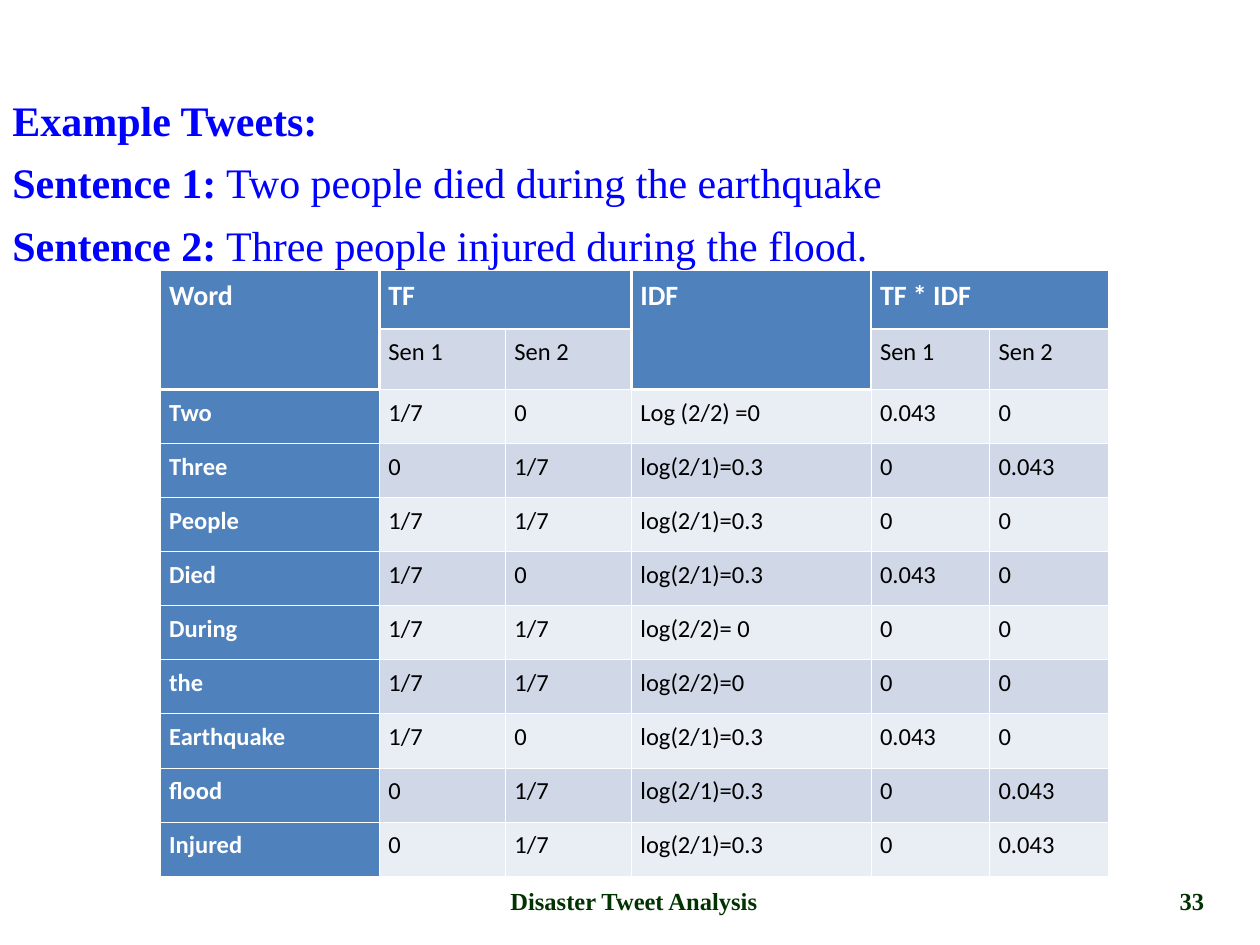
"""Build a slide that works out TF-IDF values for two example tweets."""
import pptx
import pptx.dml.color
import pptx.enum.text
import pptx.oxml
import pptx.oxml.ns
import pptx.util

Cm = pptx.util.Cm
Pt = pptx.util.Pt
RGBColor = pptx.dml.color.RGBColor
PP_ALIGN = pptx.enum.text.PP_ALIGN
MSO_ANCHOR = pptx.enum.text.MSO_ANCHOR

BLUE = RGBColor(0x00, 0x00, 0xFF)
GREEN = RGBColor(0x00, 0x33, 0x00)
HEADER = RGBColor(0x4F, 0x81, 0xBD)
BANDS = RGBColor(0xE9, 0xED, 0xF4), RGBColor(0xD0, 0xD8, 0xE8)
WHITE = RGBColor(0xFF, 0xFF, 0xFF)
BLACK = RGBColor(0x00, 0x00, 0x00)

SENTENCES = [
    ("Example Tweets:", ""),
    ("Sentence 1:", " Two people died during the earthquake"),
    ("Sentence 2:", " Three people injured during the flood."),
]
ROWS = [
    ("Word", "TF", "", "IDF", "TF * IDF", ""),
    ("", "Sen 1", "Sen 2", "", "Sen 1", "Sen 2"),
    ("Two", "1/7", "0", "Log (2/2) =0", "0.043", "0"),
    ("Three", "0", "1/7", "log(2/1)=0.3", "0", "0.043"),
    ("People", "1/7", "1/7", "log(2/1)=0.3", "0", "0"),
    ("Died", "1/7", "0", "log(2/1)=0.3", "0.043", "0"),
    ("During", "1/7", "1/7", "log(2/2)= 0", "0", "0"),
    ("the", "1/7", "1/7", "log(2/2)=0", "0", "0"),
    ("Earthquake", "1/7", "0", "log(2/1)=0.3", "0.043", "0"),
    ("flood", "0", "1/7", "log(2/1)=0.3", "0", "0.043"),
    ("Injured", "0", "1/7", "log(2/1)=0.3", "0", "0.043"),
]
MERGES = [(0, 0, 1, 0), (0, 1, 0, 2), (0, 3, 1, 3), (0, 4, 0, 5)]
COL_WIDTHS = [4.42, 2.54, 2.54, 4.83, 2.39, 2.39]
ROW_HEIGHTS = [1.19, 1.22] + [1.09] * 9


def add_text(p, text, *, font, size, color, bold=False):
    r = p.add_run()
    r.text = text
    r.font.name = font
    r.font.size = Pt(size)
    r.font.color.rgb = color
    r.font.bold = bold


class SlideBuilder:
    text_font = "Times New Roman"
    table_font = "Calibri"

    def __init__(self, slide):
        self.slide = slide

    def text_box(self, left, top, width, height):
        sp = self.slide.shapes.add_textbox(Cm(left), Cm(top), Cm(width), Cm(height))
        tf = sp.text_frame
        tf.word_wrap = True
        return tf

    def sentences(self, lines, left, top, width, height):
        tf = self.text_box(left, top, width, height)
        tf.margin_top = Cm(0.2)
        for i, (label, sentence) in enumerate(lines):
            p = tf.add_paragraph() if i else tf.paragraphs[0]
            if i:
                p.space_before = Pt(7)
            for text, bold in ((label, True), (sentence, False)):
                if text:
                    add_text(p, text, font=self.text_font, size=24, color=BLUE, bold=bold)

    def footer(self, text, left, width):
        tf = self.text_box(left, 17.65, width, 1.02)
        tf.vertical_anchor = MSO_ANCHOR.MIDDLE
        p = tf.paragraphs[0]
        p.alignment = PP_ALIGN.CENTER
        add_text(p, text, font=self.text_font, size=14, color=GREEN, bold=True)

    def borders(self, cell, row, col):
        def heavy_column(edge):
            return row < 2 and edge in (1, 3, 4)

        def heavy_row(edge):
            return edge == 1 or edge == 2 and col in (0, 3)

        sides = {"L": heavy_column(col), "R": heavy_column(col + 1),
                 "T": heavy_row(row), "B": heavy_row(row + 1)}
        tc_pr = cell._tc.get_or_add_tcPr()
        for side, heavy in sides.items():
            tc_pr.append(pptx.oxml.parse_xml(
                f'<a:ln{side} {pptx.oxml.ns.nsdecls("a")} w="{Pt(1.47 if heavy else 0.45)}">'
                f'<a:solidFill><a:srgbClr val="{WHITE}"/></a:solidFill></a:ln{side}>'))

    def cell(self, cell, text, row, col):
        header = row == 0 or col == 0 or (row == 1 and col == 3)
        self.borders(cell, row, col)
        cell.fill.solid()
        cell.fill.fore_color.rgb = HEADER if header else BANDS[row % 2]
        cell.margin_left = cell.margin_right = Cm(0.18)
        cell.margin_top = cell.margin_bottom = Cm(0.13)
        if text:
            p = cell.text_frame.paragraphs[0]
            p.line_spacing = 1.07
            add_text(p, text, font=self.table_font, size=16 if row == 0 else 14,
                     color=WHITE if header else BLACK, bold=header)

    def table(self, rows, left, top):
        table = self.slide.shapes.add_table(
            len(rows), len(rows[0]), Cm(left), Cm(top),
            Cm(sum(COL_WIDTHS)), Cm(sum(ROW_HEIGHTS))).table
        table.first_row = table.horz_banding = False
        for column, width in zip(table.columns, COL_WIDTHS):
            column.width = Cm(width)
        for row, height in zip(table.rows, ROW_HEIGHTS):
            row.height = Cm(height)
        for r, values in enumerate(rows):
            for c, text in enumerate(values):
                self.cell(table.cell(r, c), text, r, c)
        for r1, c1, r2, c2 in MERGES:
            table.cell(r1, c1).merge(table.cell(r2, c2))


def main():
    prs = pptx.Presentation()
    prs.slide_width, prs.slide_height = Cm(25.4), Cm(19.05)
    s = SlideBuilder(prs.slides.add_slide(prs.slide_layouts[6]))
    s.sentences(SENTENCES, 0, 1.7, 25.4, 15.88)
    s.footer("Disaster Tweet Analysis", 3.23, 19.1)
    s.footer("33", 22.86, 2.34)
    s.table(ROWS, 3.23, 5.44)
    prs.save("out.pptx")


if __name__ == "__main__":
    main()
